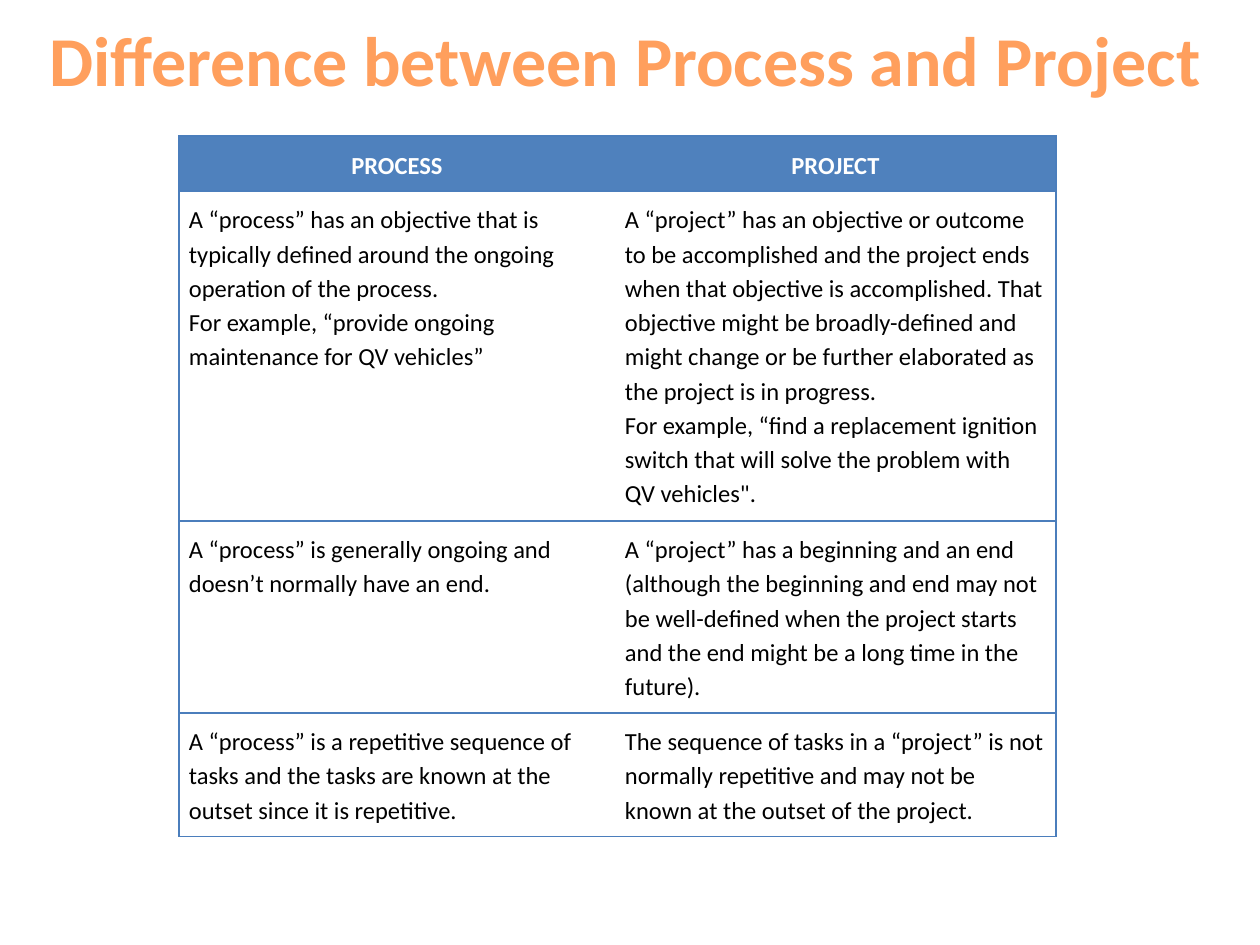
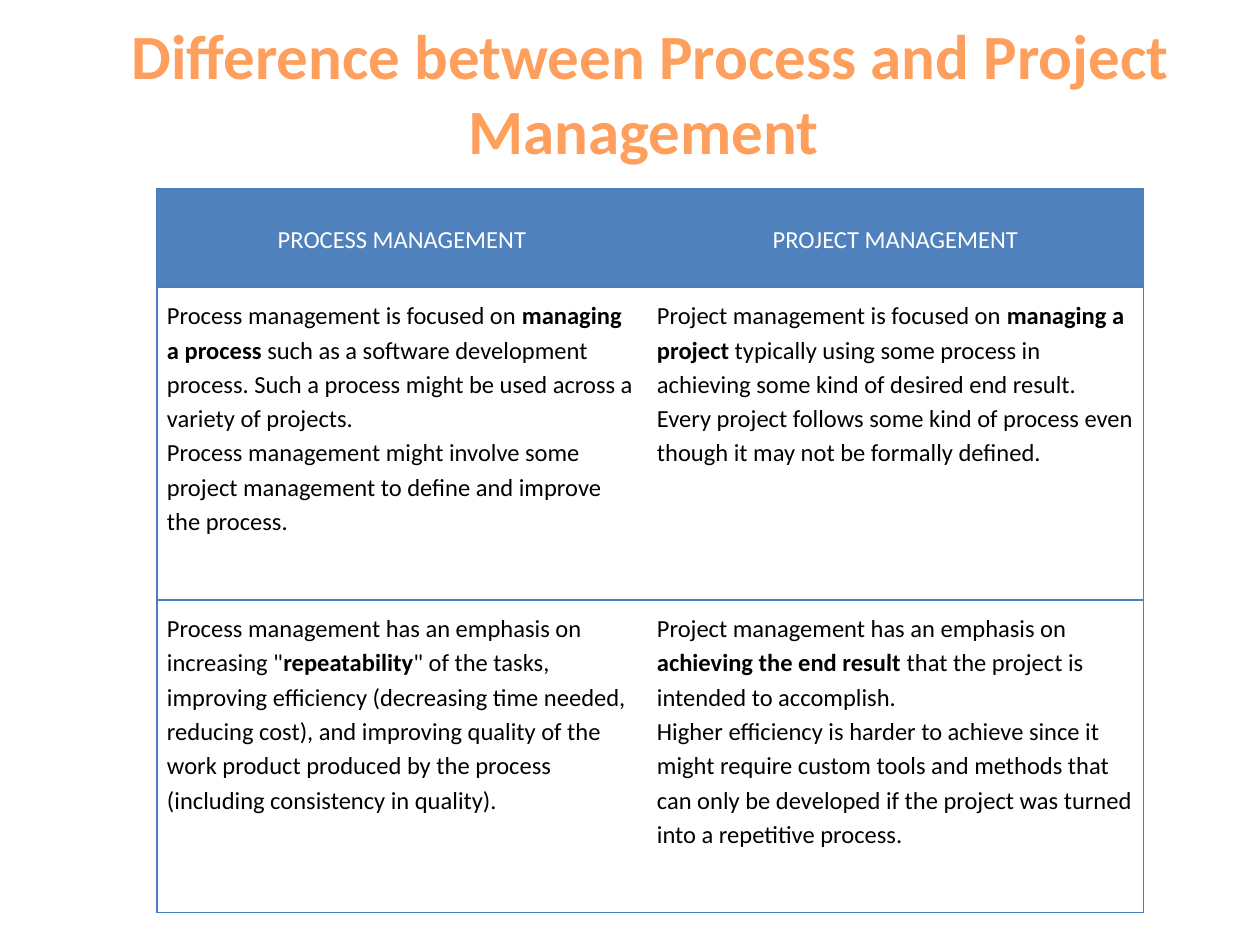
from copy import deepcopy

from lxml import etree
from pptx import Presentation, util as u
from pptx.dml.color import RGBColor
from pptx.enum import text as t
from pptx.oxml.ns import qn

SCALE = 914400 / 126
FONT = "Calibri"
ORANGE, BLUE, EDGE, WHITE, BLACK = "FF9F5D", "4F81BD", "4B7EBC", "FFFFFF", "000000"
CELL_FORMAT = dict(margin_left=10, margin_right=10, margin_top=10, margin_bottom=10)


def px(length):
    """Turn whole pixels into EMU."""
    return u.Emu(round(length * SCALE))


def colour(value):
    """Turn a hex string into a colour."""
    return RGBColor.from_string(value)


def apply(target, formats):
    """Set every attribute named in a dict of format values."""
    for name, value in formats.items():
        setattr(target, name, value)


def write(paragraph, wording, size, ink, bold=False):
    """Write wording whose starred parts are bold and whose newlines are line breaks."""
    for part, phrase in enumerate(wording.split("*")):
        for row, line in enumerate(phrase.split("\n")):
            if row:
                paragraph.add_line_break()
                paragraph._p[-1].insert(0, deepcopy(run._r.rPr))
            run = paragraph.add_run()
            run.text = line
            apply(run.font, dict(name=FONT, size=u.Pt(size), bold=bold or part % 2 == 1))
            run.font.color.rgb = colour(ink)


def border(cell, edges):
    """Draw the named edges of a cell and clear the others."""
    properties = cell._tc.get_or_add_tcPr()
    for edge in "LRTB":
        line = etree.SubElement(properties, qn(f"a:ln{edge}"), w=str(u.Pt(0.75)))
        if edge in edges:
            fill = etree.SubElement(line, qn("a:solidFill"))
            etree.SubElement(fill, qn("a:srgbClr"), val=EDGE)
        else:
            etree.SubElement(line, qn("a:noFill"))


def add_heading(slide, box, wording, size):
    """Place the orange title in its box."""
    title = slide.shapes.title
    apply(title, dict(zip(("left", "top", "width", "height"), map(px, box))))
    apply(title.text_frame, dict(word_wrap=True, vertical_anchor=t.MSO_ANCHOR.TOP,
                                 auto_size=t.MSO_AUTO_SIZE.SHAPE_TO_FIT_TEXT))
    paragraph = title.text_frame.paragraphs[0]
    paragraph.alignment = t.PP_ALIGN.CENTER
    write(paragraph, wording, size, ORANGE, True)


def add_comparison(slide, corner, widths, heights, rows, header_bold):
    """Place a two-column comparison under a blue header row."""
    box = (*corner, sum(widths), sum(heights))
    table = slide.shapes.add_table(len(rows), len(widths), *map(px, box)).table
    table.horz_banding = False
    for column, width in zip(table.columns, widths):
        column.width = px(width)
    for row, (height, wordings) in enumerate(zip(heights, rows)):
        table.rows[row].height = px(height)
        header = row == 0
        for side, wording in enumerate(wordings):
            cell = table.cell(row, side)
            apply(cell, {name: px(value) for name, value in CELL_FORMAT.items()})
            cell.vertical_anchor = t.MSO_ANCHOR.MIDDLE if header else t.MSO_ANCHOR.TOP
            border(cell, "TB" + "LR"[side])
            if header:
                cell.fill.solid()
                cell.fill.fore_color.rgb = colour(BLUE)
            else:
                cell.fill.background()
            paragraph = cell.text_frame.paragraphs[0]
            apply(paragraph, dict(line_spacing=1.15,
                                  alignment=t.PP_ALIGN.CENTER if header else t.PP_ALIGN.LEFT))
            write(paragraph, wording, 14, WHITE if header else BLACK, header and header_bold)


PROCESS_PROJECT = [
    ("PROCESS", "PROJECT"),
    ("A “process” has an objective that is typically defined around the ongoing operation "
     "of the process.\u00a0\nFor example, “provide ongoing maintenance for QV vehicles”",
     "A “project” has an objective or outcome to be accomplished and the project ends when "
     "that objective is accomplished. That objective might be broadly-defined and might "
     "change or be further elaborated as the project is in progress.\nFor example, “find a "
     "replacement ignition switch that will solve the problem with QV vehicles\"."),
    ("A “process” is generally ongoing and doesn’t normally have an end.",
     "A “project” has a beginning and an end (although the beginning and end may not be "
     "well-defined when the project starts and the end might be a long time in the future)."),
    ("A “process” is a repetitive sequence of tasks and the tasks are known at the outset "
     "since it is repetitive.",
     "The sequence of tasks in a “project” is not normally repetitive and may not be known "
     "at the outset of the project."),
]
MANAGEMENT = [
    ("PROCESS MANAGEMENT", "PROJECT MANAGEMENT"),
    ("Process management is focused on *managing a process *such as a software development "
     "process. Such a process might be used across a variety of projects.\nProcess "
     "management might involve some project management to define and improve the process.",
     "Project management is focused on *managing a project* typically using some process in "
     "achieving some kind of desired end result.\nEvery project follows some kind of process "
     "even though it may not be formally defined."),
    ("Process management has an emphasis on increasing \"*repeatability*\" of the tasks, "
     "improving efficiency (decreasing time needed, reducing cost), and improving quality "
     "of the work product produced by the process (including consistency in quality).",
     "Project management has an emphasis on *achieving the end result *that the project is "
     "intended to accomplish.\u00a0\nHigher efficiency is harder to achieve since it might "
     "require custom tools and methods that can only be developed if the project was turned "
     "into a repetitive process."),
]

deck = Presentation()
apply(deck, dict(slide_width=px(1260), slide_height=px(945)))
title_only = deck.slide_layouts[5]

difference = deck.slides.add_slide(title_only)
add_comparison(difference, (179, 136), (436, 441), (55, 330, 192, 124), PROCESS_PROJECT, True)
add_heading(difference, (0, 10, 1250, 97), "Difference between Process and Project", 40)

management = deck.slides.add_slide(title_only)
add_comparison(management, (157, 189), (490, 497), (98, 313, 313), MANAGEMENT, False)
add_heading(management, (2, 10, 1297, 165),
            "Difference between Process and Project Management ", 36)

deck.save("out.pptx")
